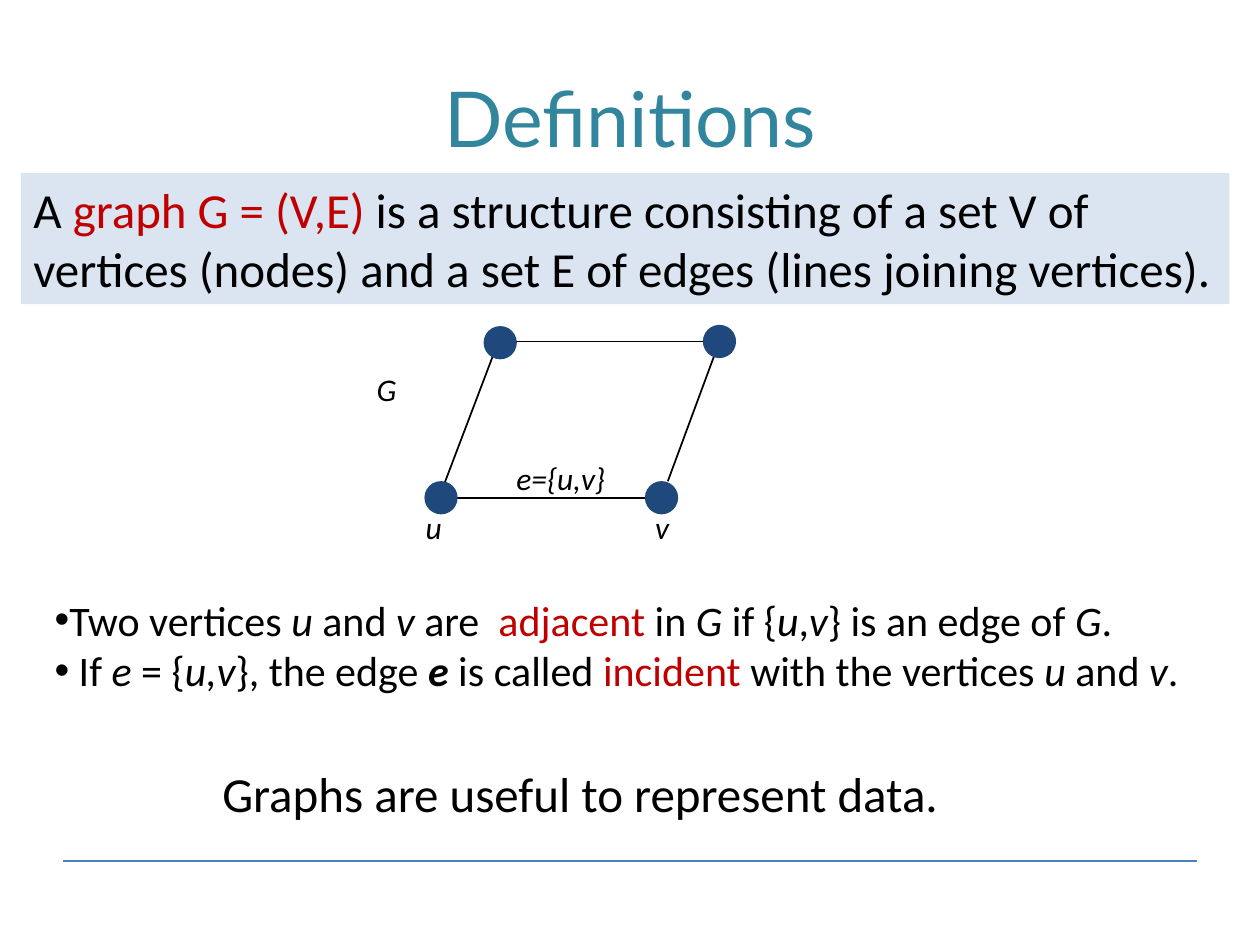
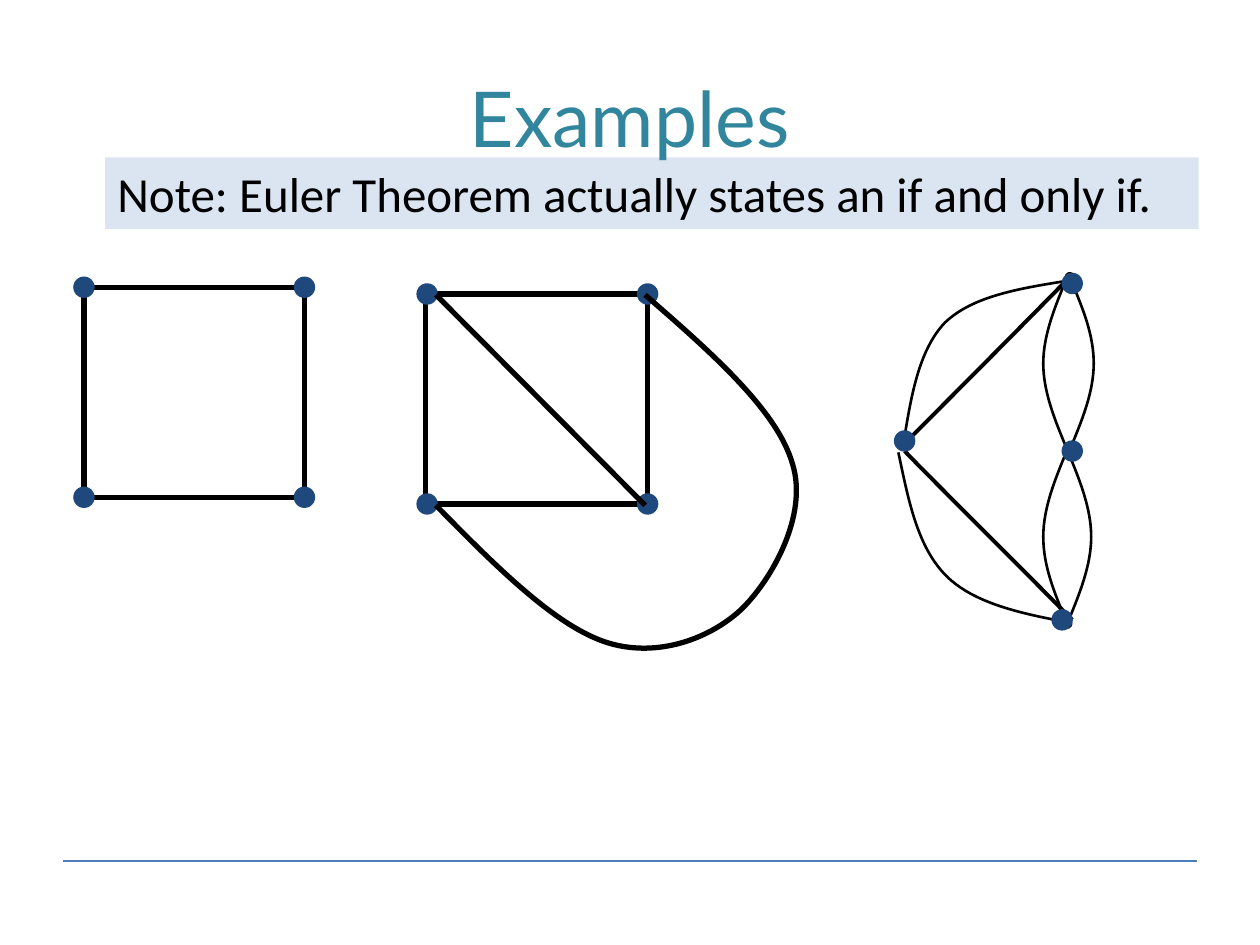
from lxml.etree import SubElement
from pptx import Presentation
from pptx.dml.color import RGBColor
from pptx.enum.shapes import MSO_CONNECTOR as Connector, MSO_SHAPE as Preset
from pptx.enum.text import MSO_ANCHOR as Anchor, MSO_AUTO_SIZE as AutoSize, PP_ALIGN as Align
from pptx.oxml.ns import qn
from pptx.util import Inches, Pt

SLIDE_WIDTH, SLIDE_HEIGHT = Inches(10), Inches(7.5)
COLUMN, ROW = SLIDE_WIDTH / 10, SLIDE_HEIGHT / 7.5
TITLE_FONT, BODY_FONT = "Lato", "Calibri"
BLACK, RED, NAVY, TEAL = "000000", "C00000", "1F497D", "31859C"
BAND, RULE = "4F81BD", "4B7EBC"
BAND_OPACITY = 20
SQUARE_WIDTH, SQUARE_HEIGHT = 7 / 4, 5 / 3


def color(hex_string):
    """Turn a hex string into a colour."""
    return RGBColor.from_string(hex_string)


def grid(column, row):
    """Convert a grid position or size into slide units."""
    return round(column * COLUMN), round(row * ROW)


def place(shape, left, top, width, height):
    """Move and size a shape on the grid."""
    shape.left, shape.top = grid(left, top)
    shape.width, shape.height = grid(width, height)


def set_line(shape, hex_string, width):
    """Give a shape or connector a solid line."""
    shape.line.color.rgb = color(hex_string)
    shape.line.width = Pt(width)


def add_runs(paragraph, runs, size, font=BODY_FONT, base=BLACK):
    """Write (text, style) runs, where style may hold i, b or red."""
    for text, style in runs:
        run = paragraph.add_run()
        run.text = text
        run.font.name, run.font.size = font, Pt(size)
        run.font.color.rgb = color(RED if style == "red" else base)
        run.font.italic = "i" in style
        run.font.bold = "b" in style


def add_text(slide, box, runs, size, wrap=True):
    """Add a text box with one paragraph."""
    left, top, width, height = box
    shape = slide.shapes.add_textbox(*grid(left, top), *grid(width, height))
    shape.text_frame.word_wrap = wrap
    add_runs(shape.text_frame.paragraphs[0], runs, size)


def add_band(slide, box, runs):
    """Add a translucent band holding a statement."""
    left, top, width, height = box
    band = slide.shapes.add_shape(Preset.RECTANGLE, *grid(left, top), *grid(width, height))
    band.shadow.inherit = False
    band.line.fill.background()
    band.fill.solid()
    band.fill.fore_color.rgb = color(BAND)
    fill_color = band.fill._xPr.find(qn("a:solidFill")).find(qn("a:srgbClr"))
    SubElement(fill_color, qn("a:alpha"), val=str(BAND_OPACITY * 1000))
    frame = band.text_frame
    frame.word_wrap, frame.vertical_anchor = True, Anchor.TOP
    frame.paragraphs[0].alignment = Align.LEFT
    add_runs(frame.paragraphs[0], runs, 28)


def add_bullets(placeholder, box, items, size):
    """Fill the body placeholder with bullets set flush left."""
    place(placeholder, *box)
    frame = placeholder.text_frame
    frame.auto_size = AutoSize.NONE
    for index, runs in enumerate(items):
        paragraph = frame.add_paragraph() if index else frame.paragraphs[0]
        paragraph.space_before = Pt(0)
        properties = paragraph._p.get_or_add_pPr()
        properties.set("marL", "0")
        properties.set("indent", "0")
        SubElement(properties, qn("a:buChar"), char="•")
        add_runs(paragraph, runs, size)


def add_edge(slide, start, end, width, hex_string=BLACK):
    """Draw a straight line between two grid points."""
    edge = slide.shapes.add_connector(Connector.STRAIGHT, *grid(*start), *grid(*end))
    set_line(edge, hex_string, width)
    SubElement(edge._element.spPr, qn("a:effectLst"))
    return edge


def add_curve(slide, points, width, oval_end=False):
    """Draw a chain of cubic curves through grid control points."""
    builder = slide.shapes.build_freeform(*grid(*points[0]))
    builder.add_line_segments([grid(*point) for point in points[1:]], close=False)
    curve = builder.convert_to_shape()
    outline = next(curve._element.iter(qn("a:path")))
    segments = outline.findall(qn("a:lnTo"))
    for first in range(0, len(segments), 3):
        cubic = SubElement(outline, qn("a:cubicBezTo"))
        for segment in segments[first:first + 3]:
            cubic.append(segment[0])
            outline.remove(segment)
    curve.shadow.inherit = False
    curve.fill.background()
    set_line(curve, BLACK, width)
    if oval_end:
        SubElement(curve.line._get_or_add_ln(), qn("a:tailEnd"), type="oval")


def add_bow(slide, column, start, end, bulge, oval_end=False):
    """Draw an upright arc that bulges sideways."""
    shares = (0, 0.5, 1, 1, 1, 0.5, 0)
    points = [
        (column + bulge * share, start + (end - start) * index / 6)
        for index, share in enumerate(shares)
    ]
    add_curve(slide, points, 1.5, oval_end)


def add_node(slide, center, diameter, outline=0):
    """Draw a graph vertex around its centre."""
    column, row = center
    corner = grid(column - diameter / 2, row - diameter / 2)
    node = slide.shapes.add_shape(Preset.OVAL, *corner, *grid(diameter, diameter))
    node.shadow.inherit = False
    node.fill.solid()
    node.fill.fore_color.rgb = color(NAVY)
    if outline:
        set_line(node, NAVY, outline)
    else:
        node.line.fill.background()


def add_square(slide, left, top, left_edge_shift=(0, 0)):
    """Draw a four-cycle with its vertices over its edges."""
    right, bottom = left + SQUARE_WIDTH, top + SQUARE_HEIGHT
    shift_column, shift_row = left_edge_shift
    edges = [
        ((left, bottom), (right, bottom)),
        ((right, bottom), (right, top)),
        ((left, top), (right, top)),
        ((left + shift_column, bottom + shift_row), (left + shift_column, top + shift_row)),
    ]
    for start, end in edges:
        add_edge(slide, start, end, 3)
    for column in (left, right):
        for row in (top, bottom):
            add_node(slide, (column, row), 0.17)


def add_titled_slide(presentation, layout, title):
    """Start a slide with the shared title style."""
    slide = presentation.slides.add_slide(presentation.slide_layouts[layout])
    place(slide.shapes.title, 0.5, 0.3, 9, 1.25)
    frame = slide.shapes.title.text_frame
    frame.vertical_anchor = Anchor.MIDDLE
    frame.paragraphs[0].alignment = Align.CENTER
    add_runs(frame.paragraphs[0], [(title, "")], 44, TITLE_FONT, TEAL)
    return slide


def add_master_rule(presentation, slide):
    """Draw the bottom rule and hand it to the slide master."""
    rule = add_edge(slide, (0.5, 41 / 6), (9.5, 41 / 6), 0.75, RULE)
    presentation.slide_master.shapes._spTree.append(rule._element)


def build_definitions(presentation):
    """Build the slide that defines graphs, adjacency and incidence."""
    slide = add_titled_slide(presentation, 1, "Definitions")
    add_master_rule(presentation, slide)
    adjacent = [
        ("Two vertices ", ""), ("u", "i"), (" and ", ""), ("v ", "i"), ("are  ", ""),
        ("adjacent ", "red"), ("in ", ""), ("G ", "i"), ("if {", ""), ("u", "i"), (",", ""),
        ("v", "i"), ("} is an edge of ", ""), ("G", "i"), (".", ""),
    ]
    incident = [
        (" If ", ""), ("e ", "i"), ("= {", ""), ("u,v", "i"), ("}, the edge ", ""),
        ("e", "bi"), (" is called ", ""), ("incident", "red"), (" with the vertices ", ""),
        ("u ", "i"), ("and ", ""), ("v", "i"), (".", ""),
    ]
    add_bullets(slide.placeholders[1], (1 / 3, 14 / 3, 28 / 3, 0.91), [adjacent, incident], 24)
    edges = [
        ((3.63, 3.95), (5.13, 3.95)), ((4.09, 2.71), (5.6, 2.71)),
        ((3.53, 3.83), (3.91, 2.83)), ((5.3, 3.82), (5.67, 2.82)),
    ]
    for start, end in edges:
        add_edge(slide, start, end, 1)
    for center in ((3.97, 2.72), (5.71, 2.71), (3.5, 3.95), (5.25, 3.95)):
        add_node(slide, center, 0.25, outline=1)
    labels = {
        "u": (3.28, 3.98, 0.37, 0.5), "v": (5.1, 3.98, 0.35, 0.5),
        "G": (2.89, 2.89, 0.44, 0.5), "e={u,v}": (4, 3.59, 0.91, 0.4),
    }
    for label, box in labels.items():
        add_text(slide, box, [(label, "i")], 18, wrap=False)
    add_band(slide, (1 / 6, 11 / 8, 9.59, 1.04), [
        ("A ", ""), ("graph G = (V,E)", "red"),
        (" is a structure consisting of a set V of vertices (nodes) "
         "and a set E of edges (lines joining vertices).", ""),
    ])
    add_text(slide, (5 / 3, 6.01, 6, 0.57), [("Graphs are useful to represent data.", "")], 28)


def add_bridge_graph(slide):
    """Draw the multigraph with doubled edges."""
    add_bow(slide, 8.47, 3.57, 4.95, -0.19, oval_end=True)
    add_bow(slide, 8.49, 3.57, 2.2, 0.19, oval_end=True)
    add_bow(slide, 8.47, 2.2, 3.57, -0.19)
    add_bow(slide, 8.47, 3.57, 4.95, 0.19)
    add_curve(slide, [(7.17, 3.52), (7.23, 3.15), (7.29, 2.78), (7.5, 2.56),
                      (7.72, 2.35), (8.09, 2.29), (8.46, 2.23)], 1.5)
    add_curve(slide, [(8.48, 4.94), (8.11, 4.87), (7.73, 4.79), (7.51, 4.57),
                      (7.28, 4.34), (7.21, 3.97), (7.13, 3.59)], 1.5)
    add_curve(slide, [(8.49, 2.2), (7.94, 2.76), (7.38, 3.32), (7.16, 3.54)], 2.25)
    add_curve(slide, [(8.51, 4.92), (7.96, 4.36), (7.4, 3.81), (7.18, 3.58)], 2.25)
    for center in ((7.18, 3.5), (8.43, 4.92), (8.51, 2.25), (8.51, 3.58)):
        add_node(slide, center, 0.17)


def build_examples(presentation):
    """Build the slide with three example graphs."""
    slide = add_titled_slide(presentation, 5, "Examples")
    add_square(slide, 2 / 3, 2.28)
    add_band(slide, (5 / 6, 1.25, 8.68, 0.57),
             [("Note: Euler Theorem actually states an if and only if.", "")])
    add_square(slide, 3.39, 7 / 3, left_edge_shift=(-0.01, -0.07))
    add_edge(slide, (3.46, 2.34), (5.12, 4.01), 3)
    add_curve(slide, [(3.46, 4.01), (3.92, 4.48), (4.39, 4.95), (4.79, 5.09),
                      (5.19, 5.23), (5.62, 5.08), (5.88, 4.84),
                      (6.12, 4.61), (6.42, 4.09), (6.29, 3.68),
                      (6.17, 3.26), (5.65, 2.8), (5.12, 2.34)], 3)
    add_bridge_graph(slide)


def main():
    """Build and save the presentation."""
    presentation = Presentation()
    presentation.slide_width, presentation.slide_height = SLIDE_WIDTH, SLIDE_HEIGHT
    build_definitions(presentation)
    build_examples(presentation)
    presentation.save("out.pptx")


if __name__ == "__main__":
    main()
